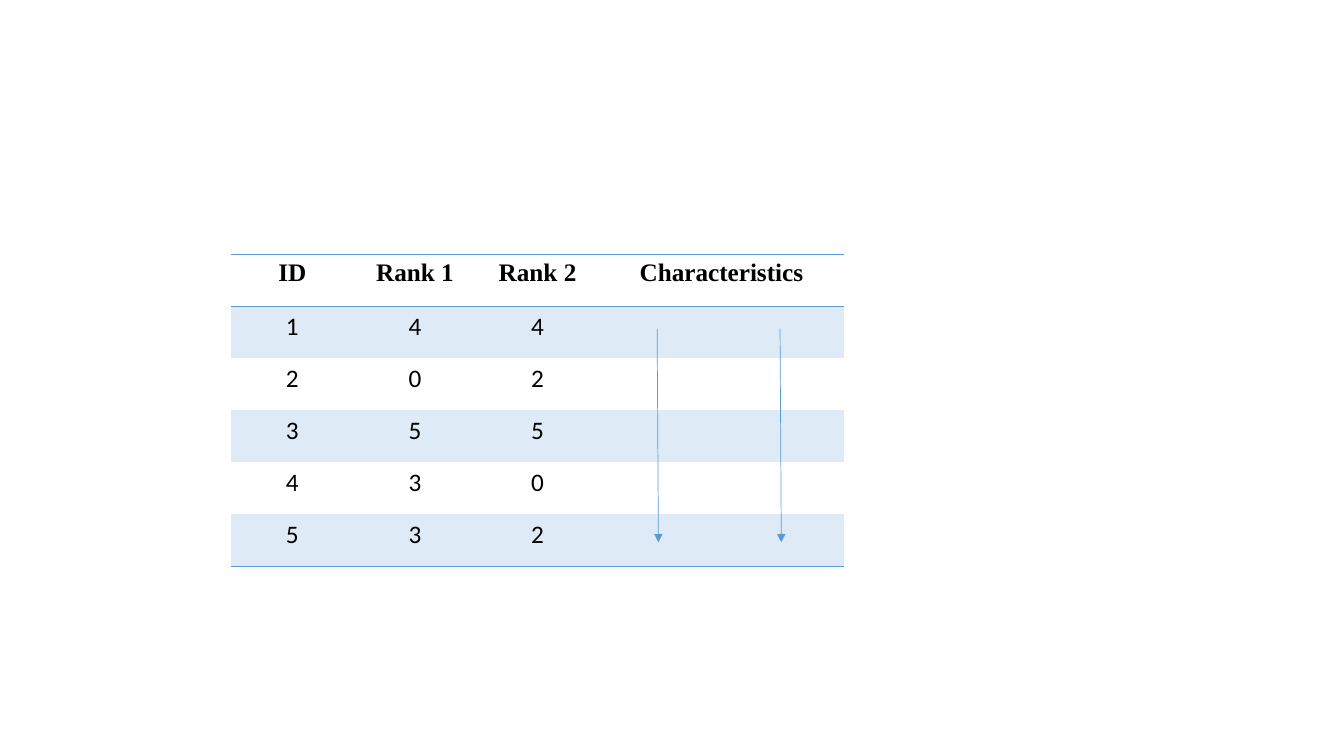
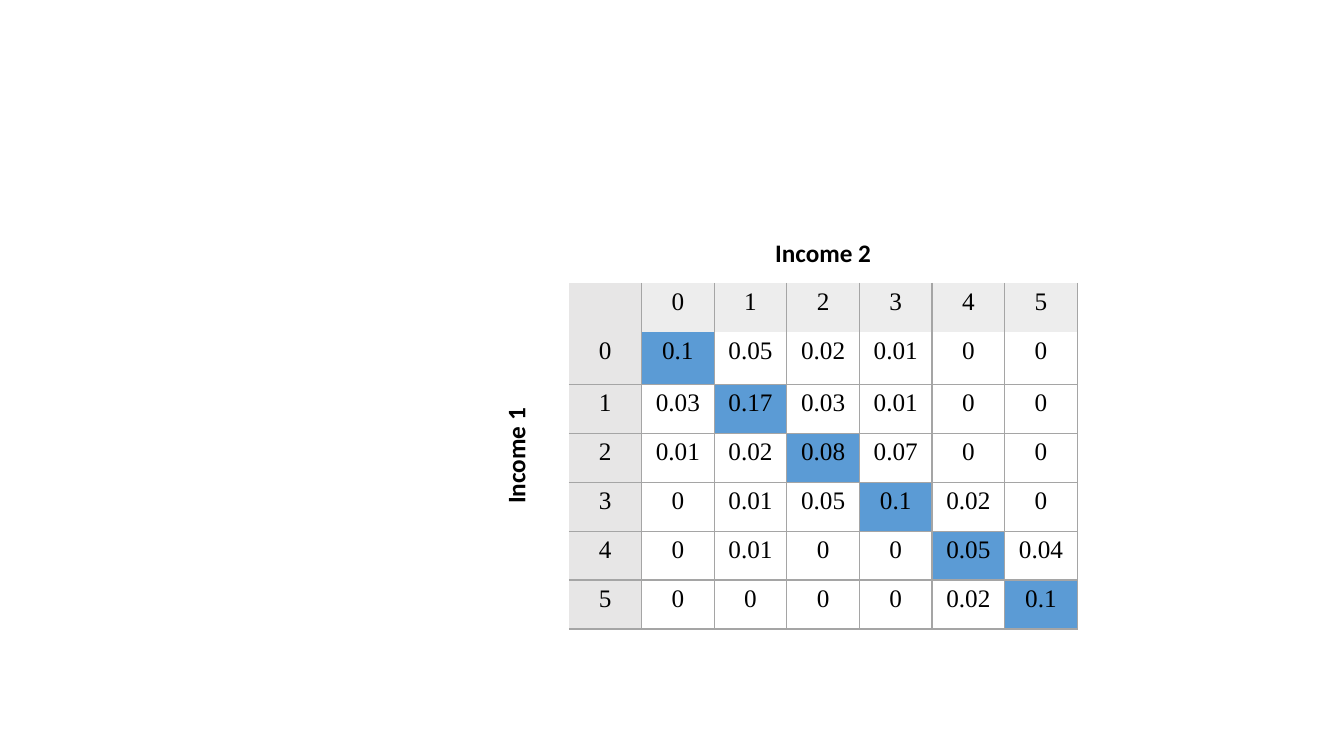
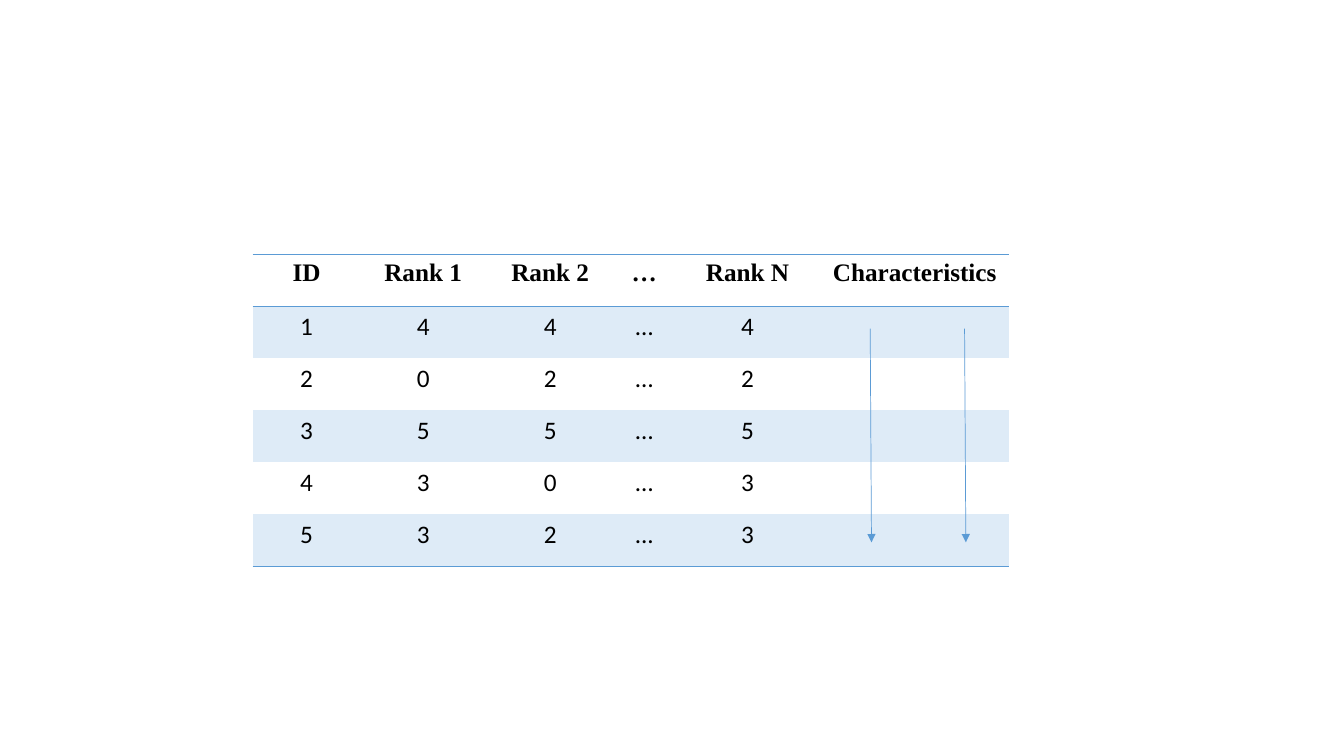
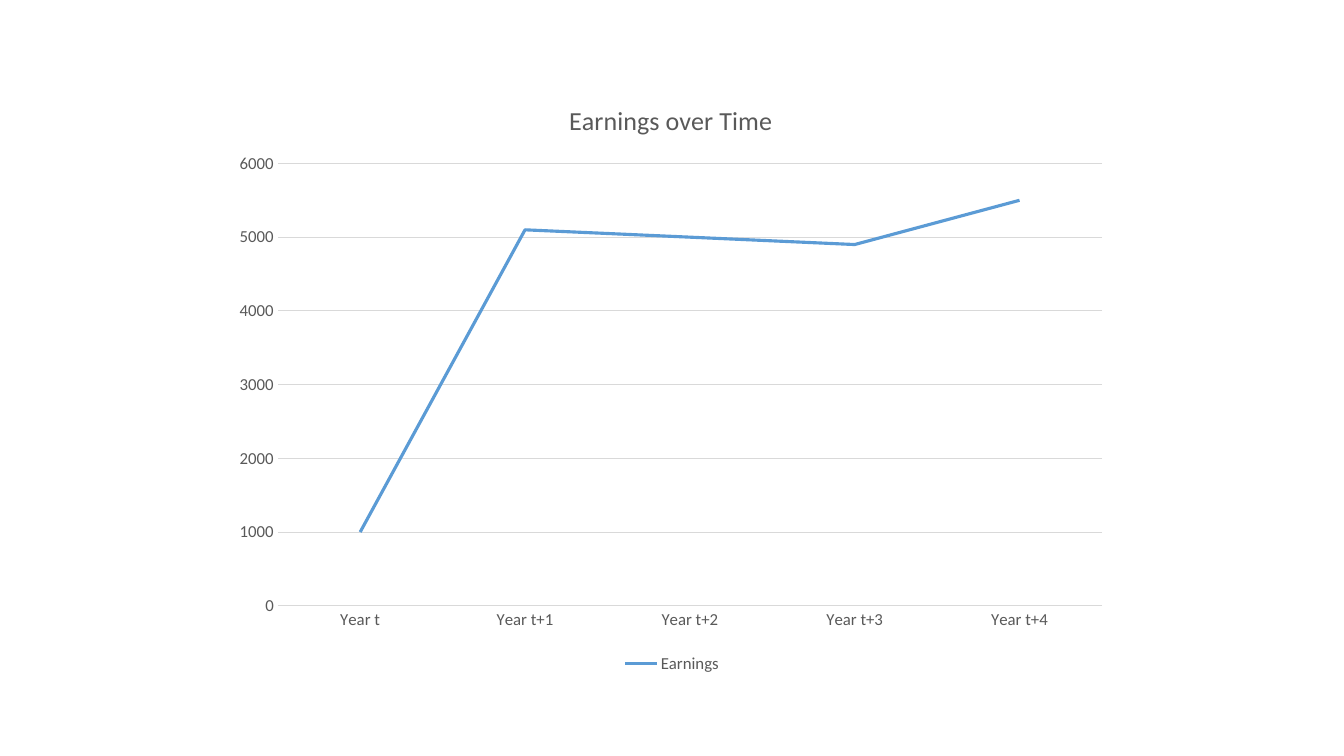
from lxml import etree
from pptx import Presentation
from pptx.chart.data import CategoryChartData
from pptx.dml.color import RGBColor
from pptx.enum.chart import XL_CHART_TYPE, XL_LEGEND_POSITION, XL_TICK_MARK
from pptx.enum.shapes import MSO_CONNECTOR
from pptx.enum.text import MSO_ANCHOR, PP_ALIGN
from pptx.oxml.ns import qn
from pptx.util import Pt

LINE_CHART = XL_CHART_TYPE.LINE
LEGEND_BOTTOM = XL_LEGEND_POSITION.BOTTOM
NO_TICK = XL_TICK_MARK.NONE
STRAIGHT = MSO_CONNECTOR.STRAIGHT
CENTER = PP_ALIGN.CENTER
BOTTOM = MSO_ANCHOR.BOTTOM

# Shared look
BLUE, BAND = "5B9BD5", "DEEBF7"
GREY, HEAD, LABEL = "A5A5A5", "EDEDED", "E7E6E6"
BLACK, WHITE, TEXT, GRID = "000000", "FFFFFF", "595959", "D9D9D9"
SANS, SERIF = "Calibri", "Times New Roman"
NO_STYLE = "{2D5ABB26-0587-4C30-8999-92F81FD0307C}"
rgb = RGBColor.from_string


def add_grid(s, left, top, widths, heights):
    table = s.shapes.add_table(len(heights), len(widths), Pt(left), Pt(top),
                               Pt(sum(widths)), Pt(sum(heights))).table
    table.first_row = table.horz_banding = False
    table._tbl.tblPr.find(qn("a:tableStyleId")).text = NO_STYLE
    for column, width in zip(table.columns, widths):
        column.width = Pt(width)
    for row, height in zip(table.rows, heights):
        row.height = Pt(height)
    return table


def format_cell(cell, text, font=SANS, bold=False, fill=None, sides="", line=BLUE):
    p = cell.text_frame.paragraphs[0]
    p.text = text
    p.alignment = CENTER
    for r in p.runs:
        r.font.name, r.font.size, r.font.bold = font, Pt(18), bold
        r.font.color.rgb = rgb(BLACK)
    tcPr = cell._tc.get_or_add_tcPr()
    for side in sides:  # in the order L, R, T, B
        ln = etree.SubElement(tcPr, qn("a:ln" + side), w=str(Pt(1)))
        solid = etree.SubElement(ln, qn("a:solidFill"))
        etree.SubElement(solid, qn("a:srgbClr"), val=line)
    if fill:
        cell.fill.solid()
        cell.fill.fore_color.rgb = rgb(fill)


prs = Presentation()
prs.slide_width, prs.slide_height = Pt(960), Pt(540)
slides = [prs.slides.add_slide(prs.slide_layouts[6]) for _ in range(4)]

# Slides 1 and 3: rank tables, the last two columns share a heading
two_ranks = [
    ["ID", "Rank 1", "Rank 2", "Characteristics"],
    ["1", "4", "4"],
    ["2", "0", "2"],
    ["3", "5", "5"],
    ["4", "3", "0"],
    ["5", "3", "2"],
]
n_ranks = [
    ["ID", "Rank 1", "Rank 2", "…", "Rank N", "Characteristics"],
    ["1", "4", "4", "…", "4"],
    ["2", "0", "2", "…", "2"],
    ["3", "5", "5", "…", "5"],
    ["4", "3", "0", "…", "3"],
    ["5", "3", "2", "...", "3"],
]
rank_slides = [
    (slides[0], 165, [87.6] * 5, two_ranks, [469.4, 557.2]),
    (slides[2], 180.5, [77, 89.5, 92, 42.5, 105, 71, 63], n_ranks, [621.6, 689]),
]
for s, left, widths, rows, arrows in rank_slides:
    table = add_grid(s, left, 181.5, widths, [37.2] * len(rows))
    last = len(widths) - 1
    table.cell(0, last - 1).merge(table.cell(0, last))
    for i, row in enumerate(rows):
        sides = "TB" if i == 0 else "B" if i == len(rows) - 1 else ""
        for j in range(len(widths)):
            format_cell(table.cell(i, j), row[j] if j < len(row) else "",
                        SERIF if i == 0 else SANS, i == 0,
                        BAND if i % 2 else None, sides)
    # Arrows down the characteristics
    for x in arrows:
        arrow = s.shapes.add_connector(STRAIGHT, Pt(x), Pt(234.7), Pt(x + 0.9), Pt(387.4))
        arrow.line.color.rgb = rgb(BLUE)
        arrow.line.width = Pt(0.5)
        spPr = arrow._element.spPr
        etree.SubElement(spPr.find(qn("a:ln")), qn("a:tailEnd"), type="triangle")
        etree.SubElement(spPr, qn("a:effectLst"))

# Slide 2: income matrix with a marked diagonal
shares = [
    ["0.1", "0.05", "0.02", "0.01", "0", "0"],
    ["0.03", "0.17", "0.03", "0.01", "0", "0"],
    ["0.01", "0.02", "0.08", "0.07", "0", "0"],
    ["0", "0.01", "0.05", "0.1", "0.02", "0"],
    ["0", "0.01", "0", "0", "0.05", "0.04"],
    ["0", "0", "0", "0", "0.02", "0.1"],
]
table = add_grid(slides[1], 354.5, 167, [51.9] * 8, [35, 35, 37.5] + [35] * 5)
table.cell(0, 1).merge(table.cell(0, 7))
table.cell(1, 0).merge(table.cell(7, 0))
format_cell(table.cell(0, 1), "Income 2", bold=True)
side_title = table.cell(1, 0)
format_cell(side_title, "Income 1", bold=True)
side_title.vertical_anchor = BOTTOM
side_title._tc.tcPr.set("vert", "vert270")

format_cell(table.cell(1, 1), "", fill=LABEL, sides="R", line=GREY)
for i, row in enumerate(shares):
    format_cell(table.cell(1, i + 2), str(i), SERIF, fill=HEAD, sides="LR", line=GREY)
    format_cell(table.cell(i + 2, 1), str(i), SERIF, fill=LABEL, sides="RB", line=GREY)
    for j, share in enumerate(row):
        format_cell(table.cell(i + 2, j + 2), share, SERIF,
                    fill=BLUE if i == j else WHITE, sides="LRB", line=GREY)

# Slide 4: earnings chart
data = CategoryChartData()
data.categories = ["Year t", "Year t+1", "Year t+2", "Year t+3", "Year t+4"]
data.add_series("Earnings", [1000, 5100, 5000, 4900, 5500])
chart = slides[3].shapes.add_chart(LINE_CHART, Pt(160), Pt(57), Pt(640), Pt(427), data).chart
chart.font.name, chart.font.size = SANS, Pt(12)
chart.font.color.rgb = rgb(TEXT)

chart.has_title = True
p = chart.chart_title.text_frame.paragraphs[0]
p.text = "Earnings over Time"
font = p.runs[0].font
font.name, font.size, font.bold = SANS, Pt(18.6), False
font.color.rgb = rgb(TEXT)

chart.has_legend = True
chart.legend.position = LEGEND_BOTTOM
chart.legend.include_in_layout = False

plot = chart.plots[0]
plot.vary_by_categories = False
series = plot.series[0]
series.smooth = False
series.format.line.color.rgb = rgb(BLUE)
series.format.line.width = Pt(2.25)

category_axis, value_axis = chart.category_axis, chart.value_axis
for axis in (category_axis, value_axis):
    axis.major_tick_mark = axis.minor_tick_mark = NO_TICK
value_axis.minimum_scale, value_axis.maximum_scale = 0, 6000
value_axis.major_unit = 1000
value_axis.format.line.fill.background()
value_axis.has_major_gridlines = True
for line in (category_axis.format.line, value_axis.major_gridlines.format.line):
    line.color.rgb = rgb(GRID)
    line.width = Pt(0.75)

# Fixed places of the title and the plot, as shares of the chart
title = chart.chart_title._element
plot_area = chart._chartSpace.chart.plotArea
for part, index, places in [
    (title, 1, {"xMode": "edge", "yMode": "edge", "x": 0.38, "y": 0.03}),
    (plot_area, 0, {"layoutTarget": "inner", "xMode": "edge", "yMode": "edge",
                    "x": 0.06, "y": 0.14, "w": 0.92, "h": 0.74}),
]:
    layout = part.find(qn("c:layout"))
    if layout is None:
        layout = etree.Element(qn("c:layout"))
        part.insert(index, layout)
    manual = etree.SubElement(layout, qn("c:manualLayout"))
    for name, value in places.items():
        etree.SubElement(manual, qn("c:" + name), val=str(value))

prs.save("out.pptx")
